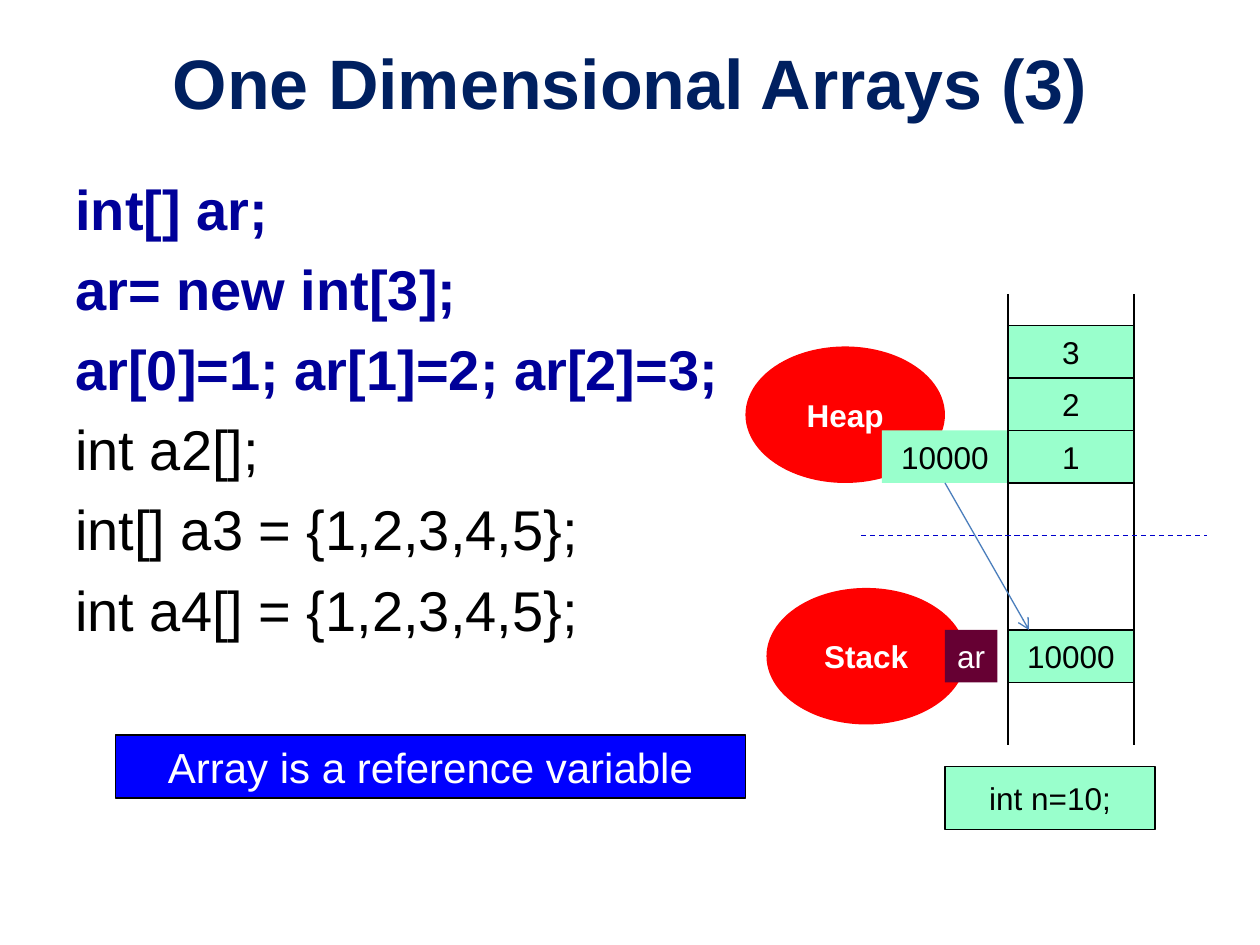
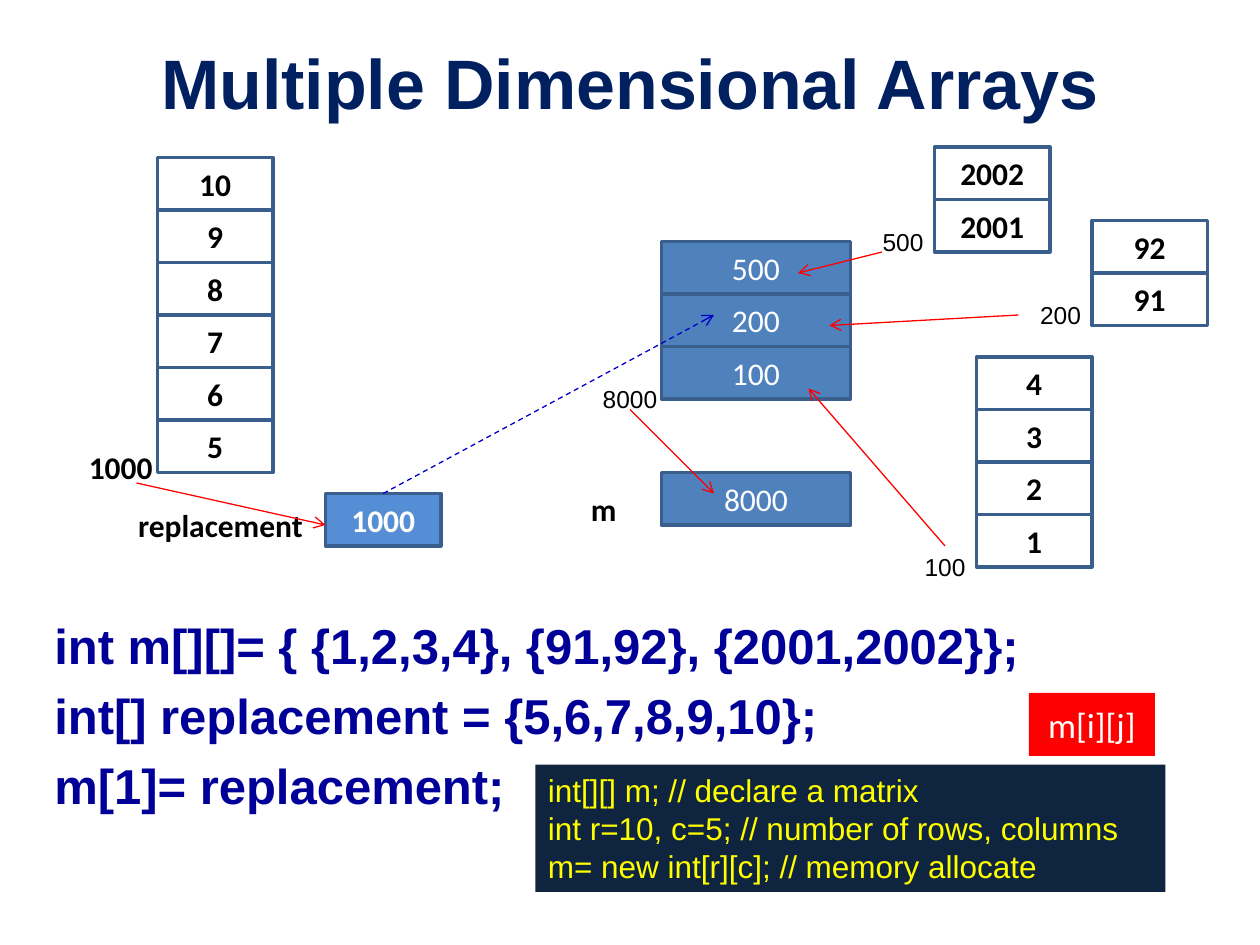
from lxml import etree
from pptx import Presentation
from pptx.dml.color import RGBColor
from pptx.enum import dml, shapes, text
from pptx.oxml import ns
from pptx.util import Pt

# Shared colours and styles
NAVY, CODE_BLUE, DASH_BLUE = "002060", "000099", "0000CC"
BLACK, WHITE, RED = "000000", "FFFFFF", "FF0000"
MINT, CELL_BLUE, CELL_EDGE = "99FFCC", "4F81BD", "3A5F8C"

RECTANGLE = shapes.MSO_SHAPE.RECTANGLE
OVAL = shapes.MSO_SHAPE.OVAL
CELL_HEIGHT = 30

ARIAL = {"name": "Arial", "size": Pt(18), "bold": False}
ARIAL_BOLD = {**ARIAL, "bold": True}
CALIBRI = {**ARIAL, "name": "Calibri"}
CALIBRI_BOLD = {**CALIBRI, "bold": True}
TITLE_FONT = {**ARIAL_BOLD, "size": Pt(40)}
LABEL_FONT = {**ARIAL, "size": Pt(14)}

MEMORY = {"fill": MINT, "line": BLACK}
REGION = {"fill": RED, "color": WHITE, "font": ARIAL_BOLD, "outline": OVAL}
NUMBER = {"line": CELL_EDGE, "weight": 2, "font": CALIBRI_BOLD}
POINTER = {**NUMBER, "fill": CELL_BLUE, "color": WHITE, "font": CALIBRI}


def rgb(code):
    return RGBColor.from_string(code)


def format_font(font, values, color):
    for name, value in values.items():
        setattr(font, name, value)
    font.color.rgb = rgb(color)


def write_lines(frame, lines, font, color, align, space=0):
    for index, line in enumerate(lines):
        para = frame.paragraphs[0] if index == 0 else frame.add_paragraph()
        para.alignment = align
        para.space_before = Pt(space)
        span = para.add_run()
        span.text = line
        format_font(span.font, font, color)


def add_box(page, place, words, fill=None, line=None, weight=0.75,
            font=ARIAL, color=BLACK, outline=RECTANGLE):
    """A shape with one centred line of text."""
    box = page.shapes.add_shape(outline, *map(Pt, place))
    box.shadow.inherit = False
    if fill:
        box.fill.solid()
        box.fill.fore_color.rgb = rgb(fill)
    else:
        box.fill.background()
    if line:
        box.line.color.rgb = rgb(line)
        box.line.width = Pt(weight)
    else:
        box.line.fill.background()
    frame = box.text_frame
    frame.word_wrap = False
    frame.vertical_anchor = text.MSO_ANCHOR.MIDDLE
    if words:
        write_lines(frame, [words], font, color, text.PP_ALIGN.CENTER)
    return box


def add_text(page, place, lines, font, color, align=text.PP_ALIGN.LEFT,
             anchor=text.MSO_ANCHOR.TOP, space=0):
    box = page.shapes.add_textbox(*map(Pt, place))
    frame = box.text_frame
    frame.word_wrap = True
    frame.vertical_anchor = anchor
    write_lines(frame, lines, font, color, align, space)
    return box


def add_label(page, place, words, font=CALIBRI_BOLD, anchor=text.MSO_ANCHOR.MIDDLE):
    add_text(page, place, [words], font, BLACK, text.PP_ALIGN.CENTER, anchor)


def add_code(page, place, lines, size, color=CODE_BLUE, bold=True):
    font = {**ARIAL, "size": Pt(size), "bold": bold}
    return add_text(page, place, lines, font, color, space=round(size * 0.23, 1))


def add_column(page, left, top, width, values, style):
    """Memory cells stacked from the top down."""
    for row, value in enumerate(values):
        place = (left, top + row * CELL_HEIGHT, width, CELL_HEIGHT)
        add_box(page, place, value, **style)


def add_line(page, start, end, color, dashed=False, arrow=False):
    line = page.shapes.add_connector(
        shapes.MSO_CONNECTOR.STRAIGHT, *map(Pt, (*start, *end)))
    line.line.color.rgb = rgb(color)
    line.line.width = Pt(0.75)
    if dashed:
        line.line.dash_style = dml.MSO_LINE.DASH
    properties = line._element.spPr
    if arrow:
        etree.SubElement(properties.find(ns.qn("a:ln")), ns.qn("a:tailEnd"), type="arrow")
    etree.SubElement(properties, ns.qn("a:effectLst"))
    return line


def add_page(deck, title):
    page = deck.slides.add_slide(deck.slide_layouts[6])
    add_text(page, (36, 21.6, 648, 50.4), [title], TITLE_FONT, NAVY,
             text.PP_ALIGN.CENTER, text.MSO_ANCHOR.MIDDLE)
    return page


def build_one_dimensional(deck):
    page = add_page(deck, "One Dimensional Arrays (3)")

    # Code
    code = add_code(page, (36, 96, 402, 356),
                    ["int[] ar;", "ar= new int[3];", "ar[0]=1; ar[1]=2; ar[2]=3;",
                     "int a2[];", "int[] a3 = {1,2,3,4,5};", "int a4[] = {1,2,3,4,5};"], 32)
    for para in code.text_frame.paragraphs[3:]:
        format_font(para.runs[0].font, {"bold": False}, BLACK)
    add_box(page, (66, 420, 360, 36), "Array is a reference variable", fill="0000FF",
            line=BLACK, font={**ARIAL, "size": Pt(24)}, color=WHITE)
    add_box(page, (540, 438, 120, 36), "int n=10;", **MEMORY)

    # Stack and heap
    add_box(page, (438, 336, 114, 78), "Stack", **REGION)
    add_box(page, (540, 360, 30, 30), "ar", fill="660033", color=WHITE)
    add_column(page, 576, 360, 72, ["10000"], MEMORY)
    for side in (576, 648):
        add_line(page, (side, 168), (side, 426), BLACK)
    add_box(page, (426, 198, 114, 78), "Heap", **REGION)
    address = add_box(page, (504, 246, 72, 30), "10000", fill=MINT)
    add_column(page, 576, 186, 72, ["3", "2", "1"], MEMORY)
    reference = add_line(page, (540, 276), (588, 360), "4B7EBC", arrow=True)
    reference.begin_connect(address, 2)
    add_line(page, (492, 306), (690, 306), DASH_BLUE, dashed=True)


def build_multiple_dimensional(deck):
    page = add_page(deck, "Multiple Dimensional Arrays")
    add_code(page, (24, 348, 678, 132),
             ["int m[][]= { {1,2,3,4}, {91,92}, {2001,2002}};",
              "int[] replacement = {5,6,7,8,9,10};", "m[1]= replacement;"], 28)

    # Memory cells
    for left, top, width, values, style in (
            (378, 138, 108, ["500", "200", "100"], POINTER),
            (378, 270, 108, ["8000"], POINTER),
            (558, 204, 66, ["4", "3", "2", "1"], NUMBER),
            (624, 126, 66, ["92", "91"], NUMBER),
            (534, 84, 66, ["2002", "2001"], NUMBER),
            (90, 90, 66, ["10", "9", "8", "7", "6", "5"], NUMBER)):
        add_column(page, left, top, width, values, style)
    replacement = add_box(page, (186, 282, 66, 30), "1000",
                          **{**NUMBER, "fill": "558ED5", "color": WHITE})

    # Names and addresses
    add_label(page, (318, 276, 54, 30), "m")
    add_label(page, (36, 252, 66, 30), "1000")
    add_label(page, (66, 282, 120, 36), "replacement")
    for left, top, words in ((510, 312, "100"), (330, 216, "8000"),
                             (576, 168, "200"), (486, 126, "500")):
        add_label(page, (left, top, 60, 24.5), words, LABEL_FONT, text.MSO_ANCHOR.TOP)

    # Arrows
    for start, end in (((540, 312), (462, 222)), ((582, 180), (474, 186)),
                       ((504, 144), (456, 156)), ((360, 234), (408, 282)),
                       ((78, 276), (186, 300))):
        add_line(page, start, end, RED, arrow=True)
    assignment = add_line(page, (219, 282), (408, 180), DASH_BLUE, dashed=True, arrow=True)
    assignment.begin_connect(replacement, 0)

    # Matrix declaration
    add_box(page, (588, 396, 72, 36), "m[i][j]", fill=RED, color=WHITE,
            font={**CALIBRI, "size": Pt(20)})
    panel = add_box(page, (306, 437, 360, 72.7), "", fill="0F243E")
    panel.text_frame.vertical_anchor = text.MSO_ANCHOR.TOP
    write_lines(panel.text_frame,
                ["int[][] m; // declare a matrix",
                 "int r=10, c=5; // number of rows, columns",
                 "m= new int[r][c]; // memory allocate"],
                ARIAL, "FFFF00", text.PP_ALIGN.LEFT)
    panel.text_frame.word_wrap = True


def main():
    deck = Presentation()
    deck.slide_width, deck.slide_height = Pt(720), Pt(540)
    build_one_dimensional(deck)
    build_multiple_dimensional(deck)
    deck.save("out.pptx")


if __name__ == "__main__":
    main()
